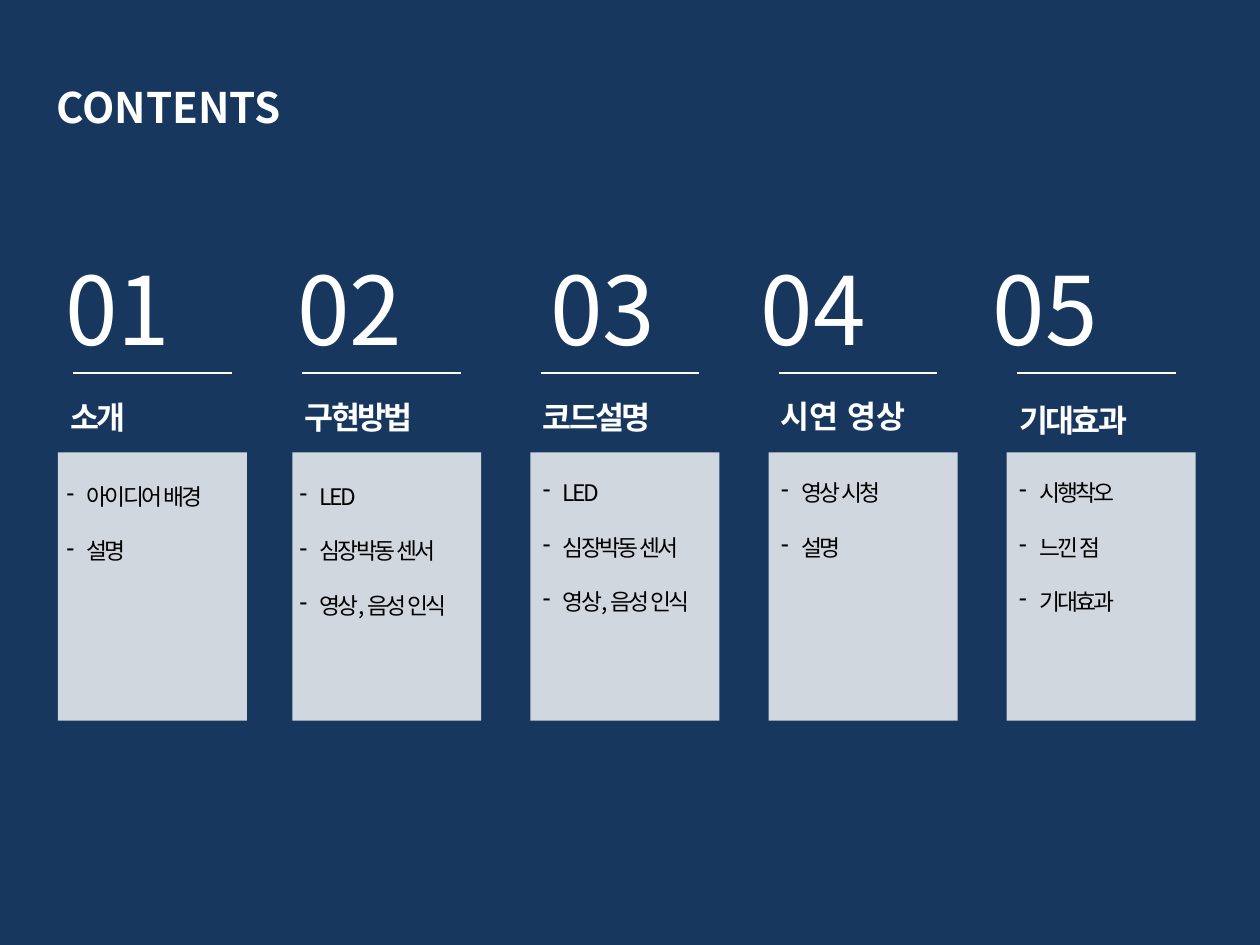
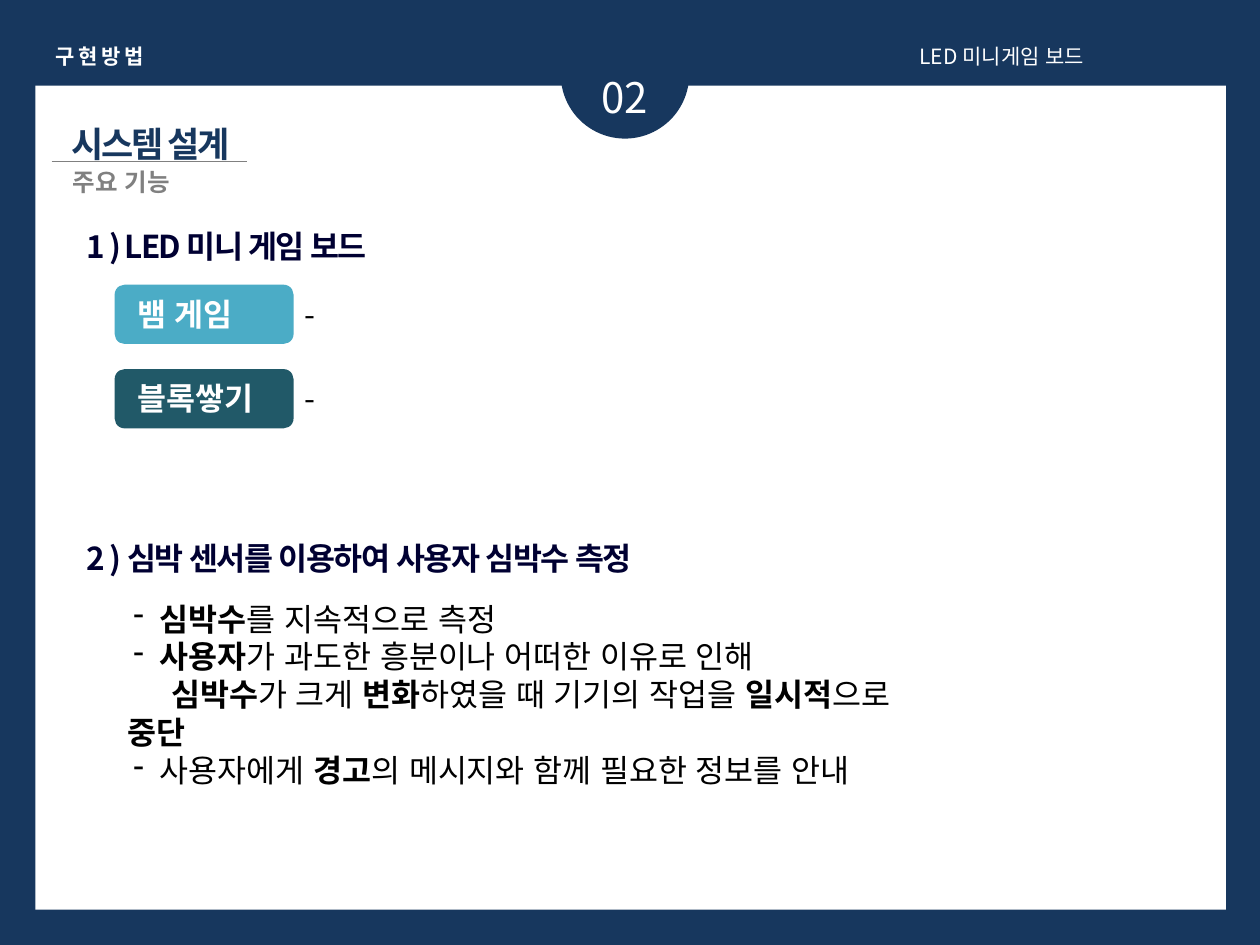
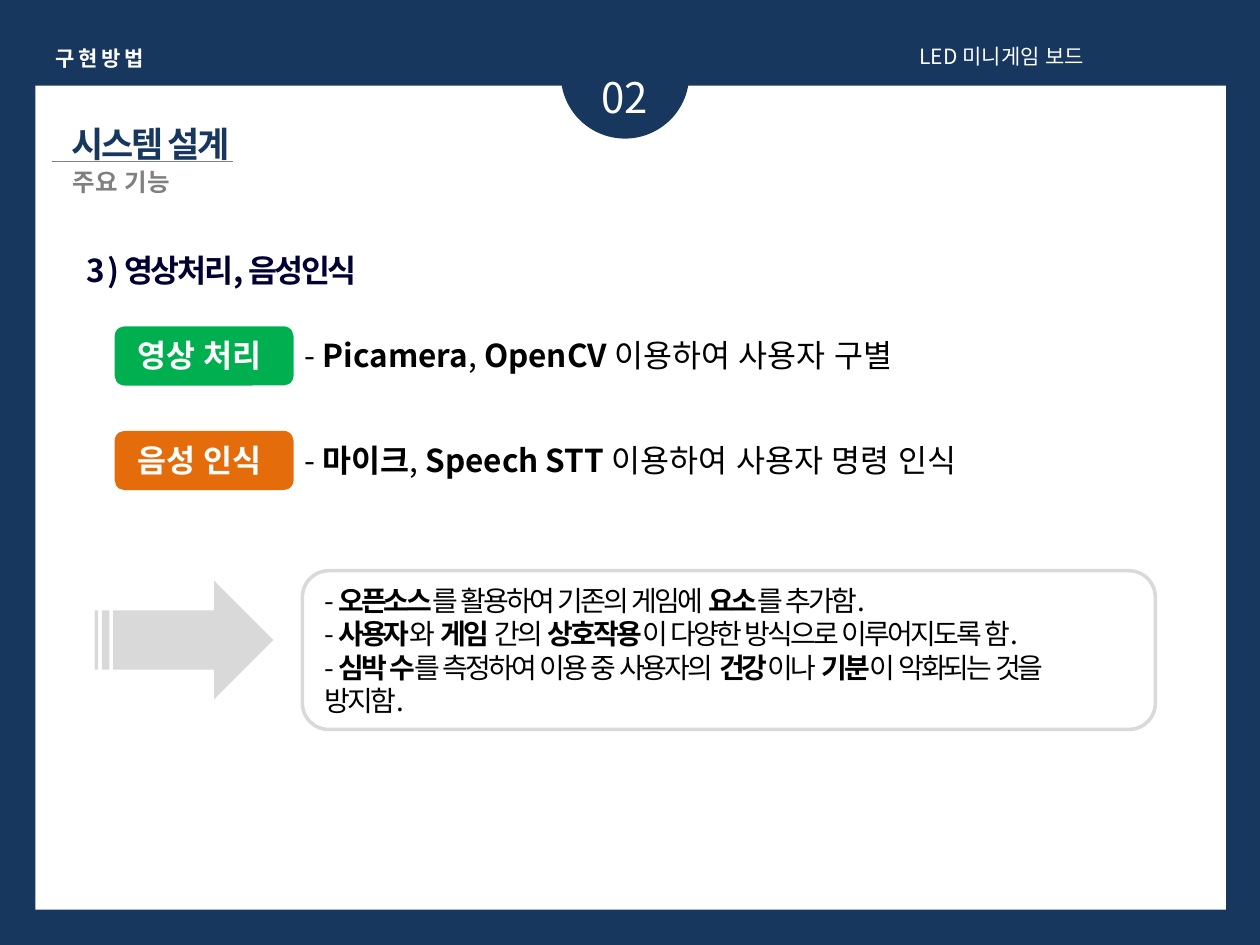
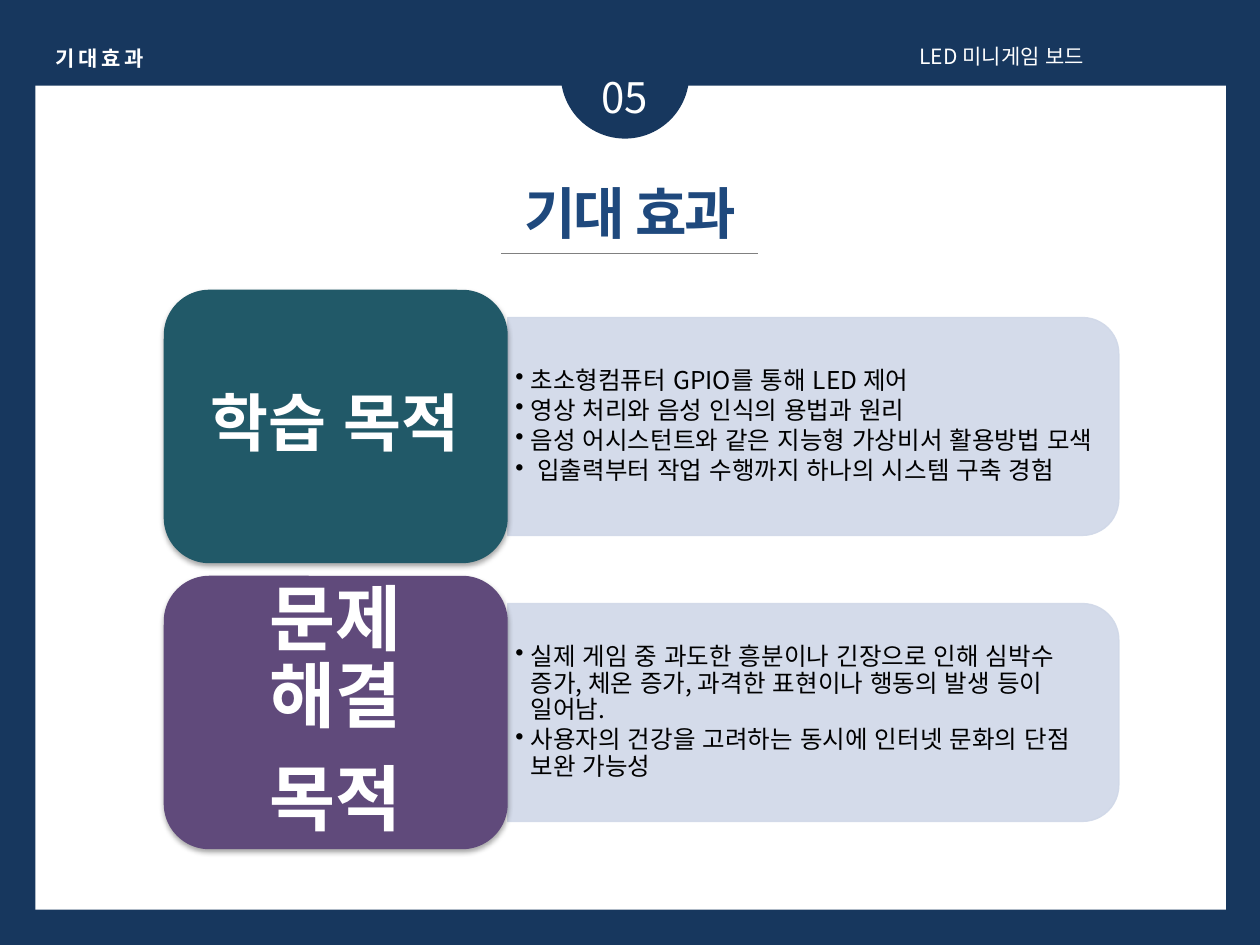
from pptx import Presentation
from pptx import util as u
from pptx.dml import color as dml
from pptx.enum import shapes, text
from pptx.oxml import ns
from lxml import etree

HUE = {
    "navy": "17375E", "white": "FFFFFF", "black": "000000", "ink": "000032",
    "gray": "808080", "pale": "D9D9D9", "mist": "D0D8E8", "blue": "1F497D",
    "teal": "215968", "aqua": "4BACC6", "green": "00B050", "orange": "E46C0A",
    "plum": "604A7B",
}
FONT = "Noto Sans CJK KR"
ASIAN = "Arial"
KIND = shapes.MSO_SHAPE
MID = text.PP_ALIGN.CENTER


def rgb(hue):
    """Return the named colour."""
    return dml.RGBColor.from_string(HUE[hue])


def node(root, tag, **attrs):
    """Add a DrawingML child to an element."""
    return etree.SubElement(root, ns.qn("a:" + tag), attrs)


def fade(fill, share):
    """Make a solid fill or line colour partly opaque."""
    hue = fill._xPr.find(".//" + ns.qn("a:srgbClr"))
    node(hue, "alpha", val=str(share * 1000))


def shape(slide, kind, box, fill=None, line=None, width=0.75, alpha=None):
    """Draw a preset shape without shadow."""
    item = slide.shapes.add_shape(kind, *map(u.Inches, box))
    item.shadow.inherit = False
    if fill:
        item.fill.solid()
        item.fill.fore_color.rgb = rgb(fill)
        if alpha:
            fade(item.fill, alpha)
    else:
        item.fill.background()
    if line:
        item.line.color.rgb = rgb(line)
        item.line.width = u.Pt(width)
        if alpha:
            fade(item.line.fill, alpha)
    else:
        item.line.fill.background()
    return item


def rule(slide, x, y, size, hue):
    """Draw a thin level line."""
    line = slide.shapes.add_connector(
        shapes.MSO_CONNECTOR.STRAIGHT, *map(u.Inches, (x, y, x + size, y)))
    line.line.color.rgb = rgb(hue)
    line.line.width = u.Pt(0.75)
    node(line._element.spPr, "effectLst")


def indent(para, left, first, mark=None):
    """Set the indents and the bullet of a paragraph."""
    props = para._p.get_or_add_pPr()
    props.set("marL", str(u.Inches(left)))
    props.set("indent", str(u.Inches(first)))
    if mark:
        node(props, "buChar", char=mark)


def add_run(para, words, size, hue, bold, track, font):
    """Add one styled run."""
    run = para.add_run()
    run.text = words
    run.font.size = u.Pt(size)
    run.font.bold = bold
    run.font.color.rgb = rgb(hue)
    run.font.name = font
    props = run._r.get_or_add_rPr()
    node(props, "ea", typeface=ASIAN)
    if track:
        props.set("spc", str(round(track * 100)))


def write(slide, box, lines, size, hue="black", bold=False, align=None, track=0,
          font=FONT, wrap=True, mark=None, hang=0, left=None, before=0, after=0,
          lead=None, pad=None):
    """Write paragraphs; stars switch bold and '>' opens an inset line."""
    item = slide.shapes.add_textbox(*map(u.Inches, box))
    frame = item.text_frame
    frame.word_wrap = wrap
    if pad:
        frame.vertical_anchor = text.MSO_ANCHOR.MIDDLE
        frame.margin_left = frame.margin_right = u.Inches(pad[0])
        frame.margin_top = frame.margin_bottom = u.Inches(pad[1])
    else:
        frame.auto_size = text.MSO_AUTO_SIZE.SHAPE_TO_FIT_TEXT
    for i, line in enumerate(lines):
        para = frame.paragraphs[0] if i == 0 else frame.add_paragraph()
        if align:
            para.alignment = align
        if lead:
            para.line_spacing = lead
        if before and i:
            para.space_before = u.Pt(before)
        if after:
            para.space_after = u.Pt(after)
        if line.startswith(">"):
            indent(para, 0, 0.35)
            line = line[1:]
        elif mark:
            indent(para, hang if left is None else left, -hang, mark)
        for j, words in enumerate(line.split("*")):
            if words:
                add_run(para, words, size, hue, bold or j % 2 == 1, track, font)


def page(deck):
    """Add a navy blank slide."""
    slide = deck.slides.add_slide(deck.slide_layouts[6])
    slide.background.fill.solid()
    slide.background.fill.fore_color.rgb = rgb("navy")
    return slide


def frame(deck, num, title, top=0.31):
    """Add a slide with white panel, header and number badge."""
    slide = page(deck)
    shape(slide, KIND.RECTANGLE, (0.28, 0.68, 9.45, 6.54), "white")
    shape(slide, KIND.OVAL, (4.45, 0.08, 1.02, 1.02), "navy")
    write(slide, (4.37, 0.52, 1.18, 0.5), [num], 24, "white", align=MID)
    write(slide, (7.2, 0.3, 2.6, 0.3), ["LED 미니게임 보드"], 12, "white",
          align=text.PP_ALIGN.JUSTIFY)
    write(slide, (0.28, top, 1.02, 0.3), [" ".join(title)], 12, "white", True,
          MID, -0.6, "Arial", False)
    return slide


def design(slide, x, y, size):
    """Write the system design title block."""
    write(slide, (x, y, 1.89, 0.44), ["시스템 설계"], 20, "navy", True, track=-1.5)
    write(slide, (x + 0.01, y + 0.36, 3.54, 0.34), ["주요 기능"], 14, "gray", True)
    rule(slide, x - 0.06, y + 0.36, size, "gray")


def head(slide, y, words, track):
    """Write a numbered heading."""
    write(slide, (0.59, y, 7.4, 0.4), [words], 18, "ink", True, track=track)


def pill(slide, x, y, hue, name, note):
    """Draw a label pill with its note on the right."""
    shape(slide, KIND.ROUNDED_RECTANGLE, (x, y, 1.42, 0.47), hue)
    write(slide, (x + 0.08, y + 0.03, 1.34, 0.4), [name], 18, "white", True)
    write(slide, (x + 1.41, y + 0.03, 6.69, 0.4), [note], 18)


def column(slide, x, y, num, shift, name, track, drop, list_x, list_y, items):
    """Draw one column of the contents."""
    write(slide, (x + shift, y, 1.4, 1.01), [num], 54, "white")
    rule(slide, x + (0.12 if num == "01" else 0.08), y + 1.02, 1.26, "white")
    write(slide, (x, y + 1.17 + drop, 1.5, 0.4), [name], 18, "white", True,
          track=track)
    shape(slide, KIND.RECTANGLE, (x, y + 1.65, 1.5, 2.13), "white", alpha=80)
    write(slide, (x + list_x, y + list_y, 1.55, 0.76), items, 13, track=-1.5,
          mark="-", hang=0.16, before=15.6)


def contents(deck):
    """Build the contents slide."""
    slide = page(deck)
    write(slide, (0.35, 0.6, 4.57, 0.5), ["CONTENTS"], 24, "white", True)
    sense = ["LED", "심장박동 센서", "영상, 음성 인식"]
    parts = [
        (-0.04, "소개", -1.5, 0, -0.03, 1.84, ["아이디어 배경", "설명"]),
        (-0.06, "구현방법", -1.5, 0, -0.04, 1.84, sense),
        (0.06, "코드설명", -1.5, 0, 0, 1.81, sense),
        (-0.16, "시연 영상", 0, -0.01, 0, 1.81, ["영상 시청", "설명"]),
        (-0.21, "기대효과", -1.5, 0.02, 0, 1.81, ["시행착오", "느낀 점", "기대효과"]),
    ]
    for i, part in enumerate(parts):
        x = 0.43 + 1.89 * i if i else 0.46
        column(slide, x, 1.94, f"{i + 1:02}", *part)


def games(deck):
    """Build the slide on games and pulse."""
    slide = frame(deck, "02", "구현방법", 0.3)
    design(slide, 0.47, 0.92, 1.55)
    head(slide, 1.75, "1 ) LED 미니 게임 보드", -0.95)
    pill(slide, 0.91, 2.26, "aqua", "뱀 게임", "-")
    pill(slide, 0.91, 2.93, "teal", "블록쌓기", "-")
    head(slide, 4.23, "2 ) 심박 센서를 이용하여 사용자 심박수 측정", -0.85)
    write(slide, (0.91, 4.71, 6.69, 1.31), [
        "*심박수*를 지속적으로 측정",
        "*사용자*가 과도한 흥분이나 어떠한 이유로 인해",
        ">*심박수*가 크게 *변화*하였을 때 기기의 작업을 *일시적*으로 *중단*",
        "사용자에게 *경고*의 메시지와 함께 필요한 정보를 안내",
    ], 18, mark="-", hang=0.21, left=0.26)


def result(slide, x, y):
    """Draw the arrow and the rounded result box."""
    shape(slide, KIND.STRIPED_RIGHT_ARROW, (x, y + 0.08, 1.42, 0.94), "pale")
    shape(slide, KIND.ROUNDED_RECTANGLE, (x + 1.65, y, 6.77, 1.26), None, "pale", 2)
    write(slide, (x + 1.73, y + 0.05, 6.3, 0.91), [
        "- *오픈소스*를 활용하여 기존의 게임에 *요소*를 추가함.",
        "- *사용자*와 *게임* 간의 *상호작용*이 다양한 방식으로 이루어지도록 함.",
        "- *심박 수*를 측정하여 이용 중 사용자의 *건강*이나 *기분*이 악화되는 것을 방지함.",
    ], 16, track=-1.5)


def media(deck):
    """Build the slide on image and voice."""
    slide = frame(deck, "02", "구현방법")
    design(slide, 0.47, 0.92, 1.44)
    head(slide, 1.94, "3 ) 영상처리, 음성인식", -1.35)
    pill(slide, 0.91, 2.59, "green", "영상 처리",
         "- *Picamera*, *OpenCV *이용하여 사용자 구별")
    pill(slide, 0.91, 3.42, "orange", "음성 인식",
         "- *마이크*, *Speech STT *이용하여 사용자 명령 인식")
    result(slide, 0.75, 4.53)


def goal(slide, x, y, hue, title, size, pad, items):
    """Draw a goal card with its bullet panel."""
    wide, tall = 1.73, 4.85
    mid_x, mid_y = x + 2.73 + tall / 2, y + 2.17 / 2
    panel = shape(slide, KIND.ROUND_2_SAME_RECTANGLE,
                  (mid_x - wide / 2, mid_y - tall / 2, wide, tall),
                  "mist", "mist", alpha=90)
    panel.rotation = 90
    write(slide, (x + 2.73, y + 0.3, 4.77, 1.57), items, 14, mark="•",
          hang=0.12, lead=0.9, after=2.1, pad=(0.06, 0.03))
    card = shape(slide, KIND.ROUNDED_RECTANGLE, (x, y, 2.73, 2.17), hue)
    glow = node(card._element.spPr.find(ns.qn("a:effectLst")), "outerShdw",
                blurRad=str(u.Pt(3.1)), dist=str(u.Pt(1.8)), dir="5400000",
                rotWithShape="0")
    node(node(glow, "srgbClr", val=HUE["black"]), "alpha", val="35000")
    write(slide, (x + 0.1, y + 0.1, 2.52, 1.96), title, size, "white", True, MID,
          lead=0.9, after=size * 0.35, pad=pad)


def effects(deck):
    """Build the slide on expected effects."""
    slide = frame(deck, "05", "기대효과")
    write(slide, (2.72, 1.37, 4.57, 0.64), ["기대 효과"], 32, "blue", True, MID, -1.5)
    rule(slide, 3.98, 2.01, 2.04, "gray")
    goal(slide, 1.3, 2.3, "teal", ["학습 목적"], 36, (0.15, 0.07), [
        "초소형컴퓨터 GPIO를 통해 LED 제어",
        "영상 처리와 음성 인식의 용법과 원리",
        "음성 어시스턴트와 같은 지능형 가상비서 활용방법 모색",
        " 입출력부터 작업 수행까지 하나의 시스템 구축 경험",
    ])
    goal(slide, 1.3, 4.57, "plum", ["문제 해결", "목적"], 41, (0.17, 0.09), [
        "실제 게임 중 과도한 흥분이나 긴장으로 인해 심박수 증가, 체온 증가, "
        "과격한 표현이나 행동의 발생 등이 일어남.",
        "사용자의 건강을 고려하는 동시에 인터넷 문화의 단점 보완 가능성",
    ])


def main():
    """Build and save the deck."""
    deck = Presentation()
    deck.slide_width, deck.slide_height = u.Inches(10), u.Inches(7.5)
    for build in (contents, games, media, effects):
        build(deck)
    deck.save("out.pptx")


if __name__ == "__main__":
    main()
